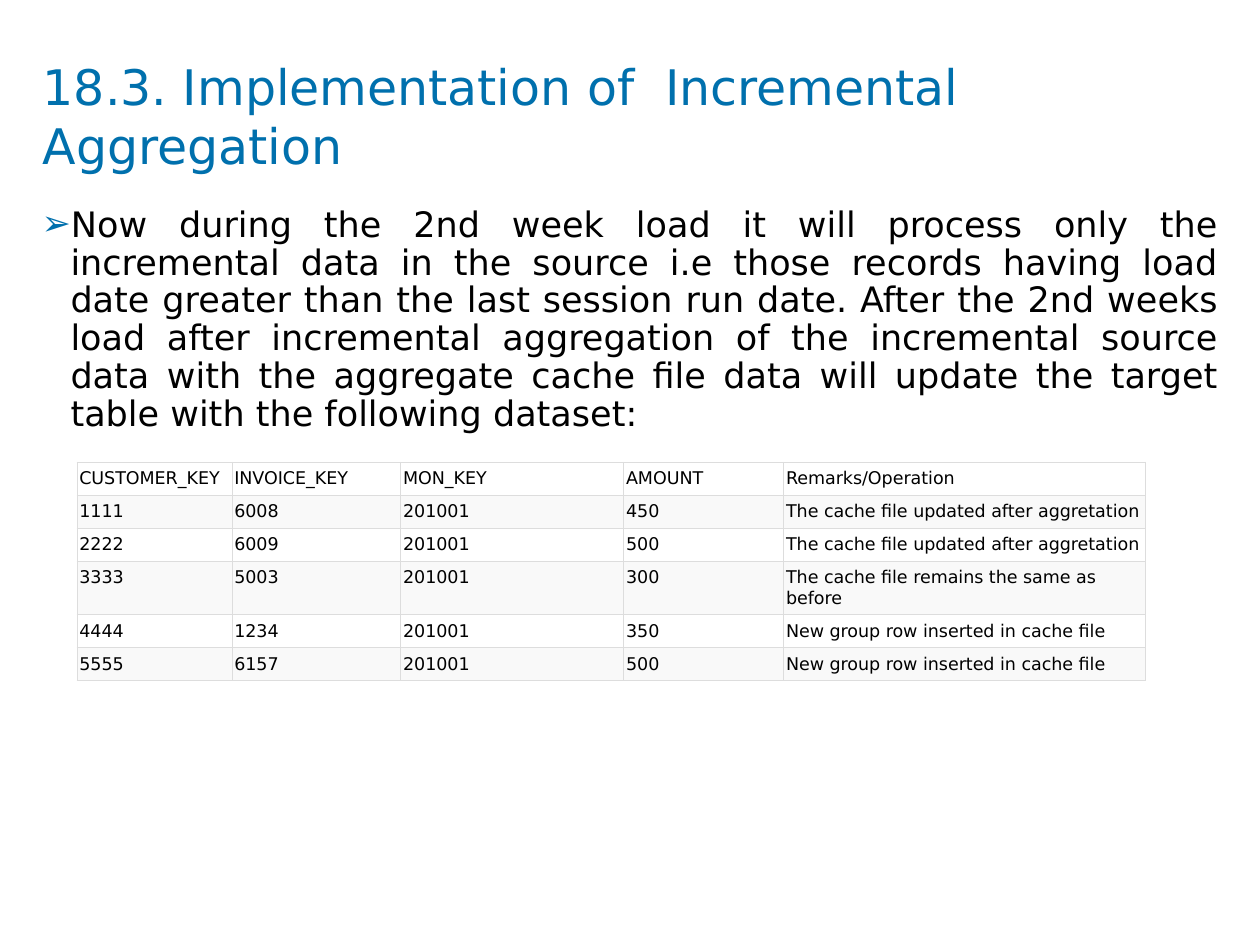
from typing import NamedTuple

from lxml import etree
from pptx import Presentation
from pptx.dml.color import RGBColor
from pptx.enum.text import MSO_ANCHOR, MSO_AUTO_SIZE, PP_ALIGN
from pptx.oxml.ns import qn
from pptx.util import Inches, Pt

FONT = "DejaVu Sans"
BLUE = RGBColor(0x00, 0x70, 0xAD)
BLACK = RGBColor(0x00, 0x00, 0x00)
WHITE = RGBColor(0xFF, 0xFF, 0xFF)
BAND = RGBColor(0xF9, 0xF9, 0xF9)
RULE = RGBColor(0xDD, 0xDD, 0xDD)
LEFT, JUSTIFY = PP_ALIGN.LEFT, PP_ALIGN.JUSTIFY
TOP, MIDDLE, BOTTOM = MSO_ANCHOR.TOP, MSO_ANCHOR.MIDDLE, MSO_ANCHOR.BOTTOM
NO_AUTOFIT = MSO_AUTO_SIZE.NONE

WIDTH, HEIGHT = Inches(10), Inches(7.5)
INDENT = Inches(0.23)

TITLE = "18.3. Implementation of  Incremental Aggregation"
BODY = (
    "Now during the 2nd week load it will process only the incremental data in the "
    "source i.e those records having load date greater than the last session run date. "
    "After the 2nd weeks load after incremental aggregation of the incremental source "
    "data with the aggregate cache file data will update the target table with the "
    "following dataset:"
)


class Column(NamedTuple):
    heading: str
    width: float


class Record(NamedTuple):
    customer: str
    invoice: str
    month: str
    amount: str
    remark: str


COLUMNS = [
    Column("CUSTOMER_KEY", 1.23),
    Column("INVOICE_KEY", 1.34),
    Column("MON_KEY", 1.77),
    Column("AMOUNT", 1.27),
    Column("Remarks/Operation", 2.87),
]
UPDATED = "The cache file updated after aggretation"
INSERTED = "New group row inserted in cache file"
RECORDS = [
    Record("1111", "6008", "201001", "450", UPDATED),
    Record("2222", "6009", "201001", "500", UPDATED),
    Record("3333", "5003", "201001", "300", "The cache file remains the same as before"),
    Record("4444", "1234", "201001", "350", INSERTED),
    Record("5555", "6157", "201001", "500", INSERTED),
]
ROW_HEIGHT = 0.24
WRAPPED_ROW, WRAPPED_HEIGHT = 3, 0.42


def write(tf, text: str, *, size: float, color: RGBColor = BLACK, align=LEFT):
    """Put one formatted paragraph in a text frame and return it."""
    p = tf.paragraphs[0]
    p.alignment = align
    r = p.add_run()
    r.text = text
    r.font.name, r.font.size = FONT, Pt(size)
    r.font.color.rgb = color
    return p


def place(sp, left: float, top: float, width: float, height: float, anchor):
    """Move a placeholder to shares of the slide and return its text frame."""
    sp.left, sp.top = round(WIDTH * left), round(HEIGHT * top)
    sp.width, sp.height = round(WIDTH * width), round(HEIGHT * height)
    tf = sp.text_frame
    tf.margin_left = tf.margin_top = tf.margin_right = tf.margin_bottom = 0
    tf.word_wrap, tf.auto_size, tf.vertical_anchor = True, NO_AUTOFIT, anchor
    return tf


def add_bullet(p, char: str, color: RGBColor) -> None:
    pPr = p._p.get_or_add_pPr()
    pPr.set("marL", str(INDENT))
    pPr.set("indent", str(-INDENT))
    clr = etree.SubElement(pPr, qn("a:buClr"))
    etree.SubElement(clr, qn("a:srgbClr"), val=str(color))
    etree.SubElement(pPr, qn("a:buFont"), typeface=FONT)
    etree.SubElement(pPr, qn("a:buChar"), char=char)


def add_borders(cell, color: RGBColor, width: float) -> None:
    tcPr = cell._tc.get_or_add_tcPr()
    for side in ("a:lnL", "a:lnR", "a:lnT", "a:lnB"):
        ln = etree.SubElement(tcPr, qn(side), w=str(Pt(width)))
        fill = etree.SubElement(ln, qn("a:solidFill"))
        etree.SubElement(fill, qn("a:srgbClr"), val=str(color))


def fill_cell(cell, text: str, *, fill: RGBColor, anchor) -> None:
    cell.margin_left = cell.margin_right = Inches(0.02)
    cell.margin_top = cell.margin_bottom = Inches(0.05)
    cell.vertical_anchor = anchor
    add_borders(cell, RULE, 0.28)
    cell.fill.solid()
    cell.fill.fore_color.rgb = fill
    write(cell.text_frame, text, size=10)


def add_records(s, left: float, top: float) -> None:
    rows = [[c.heading for c in COLUMNS], *RECORDS]
    width = Inches(sum(c.width for c in COLUMNS))
    table = s.shapes.add_table(
        len(rows), len(COLUMNS), round(WIDTH * left), round(HEIGHT * top),
        width, Inches(ROW_HEIGHT * len(rows)),
    ).table
    table.first_row = table.horz_banding = False
    for col, spec_col in zip(table.columns, COLUMNS):
        col.width = Inches(spec_col.width)
    for i, values in enumerate(rows):
        table.rows[i].height = Inches(WRAPPED_HEIGHT if i == WRAPPED_ROW else ROW_HEIGHT)
        for j, text in enumerate(values):
            fill_cell(table.cell(i, j), text, fill=BAND if i % 2 else WHITE,
                      anchor=TOP if i else BOTTOM)


def main() -> None:
    prs = Presentation()
    prs.slide_width, prs.slide_height = WIDTH, HEIGHT
    s = prs.slides.add_slide(prs.slide_layouts[1])
    s.background.fill.solid()
    s.background.fill.fore_color.rgb = WHITE

    # Title
    tf = place(s.shapes.title, 0.034, 0.06, 0.933, 0.125, MIDDLE)
    write(tf, TITLE, size=28, color=BLUE)

    # Explanation
    tf = place(s.placeholders[1], 0.033, 0.219, 0.934, 0.677, TOP)
    p = write(tf, BODY, size=20, align=JUSTIFY)
    p.line_spacing, p.space_before = 0.9, Pt(7.5)
    add_bullet(p, "➢", BLUE)

    # Target table after the second load
    add_records(s, 0.061, 0.489)

    prs.save("out.pptx")


if __name__ == "__main__":
    main()
